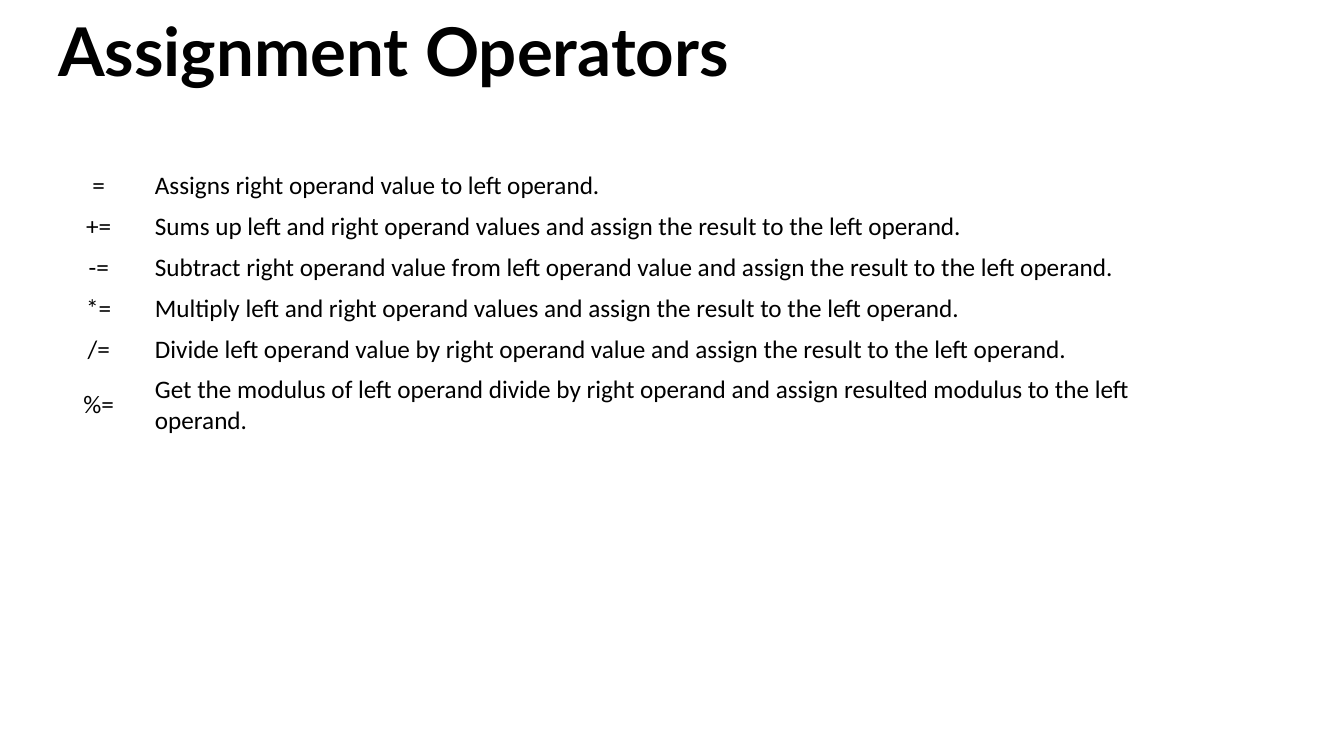
import pptx
import pptx.dml.color
import pptx.enum.text
import pptx.util
from pptx.util import Cm

BLACK = "000000"
OPERATORS = [
    ("= ", "Assigns right operand value to left operand."),
    ("+= ", "Sums up left and right operand values and assign the result to the left operand."),
    ("-= ", "Subtract right operand value from left operand value and assign the result to the left operand."),
    ("*= ", "Multiply left and right operand values and assign the result to the left operand."),
    ("/= ", "Divide left operand value by right operand value and assign the result to the left operand."),
    ("%= ", "Get the modulus of left operand divide by right operand and assign resulted modulus to the left operand."),
]


def set_color(target, color):
    target.rgb = pptx.dml.color.RGBColor.from_string(color)


def write(tf, text, font, size, bold=False, align=pptx.enum.text.PP_ALIGN.LEFT):
    p = tf.paragraphs[0]
    p.text = text
    p.alignment = align
    p.font.name = font
    p.font.size = pptx.util.Pt(size)
    p.font.bold = bold
    set_color(p.font.color, BLACK)
    return p


def add_title(s, text):
    sp = s.shapes.add_textbox(Cm(1.47), Cm(0.33), Cm(25.78), Cm(2.11))
    tf = sp.text_frame
    tf.word_wrap = True
    tf.margin_left = 0
    p = write(tf, text, "Lato", 48, bold=True)
    p.line_spacing = 0.9


def add_operator_table(s, operators):
    widths = [Cm(2.18), Cm(27.03)]
    aligns = [pptx.enum.text.PP_ALIGN.CENTER, pptx.enum.text.PP_ALIGN.LEFT]
    row_height = Cm(1.03)
    table = s.shapes.add_table(
        len(operators), len(widths), Cm(1.47), Cm(4.17),
        sum(widths), row_height * len(operators),
    ).table
    table.first_row = False
    table.horz_banding = False
    for column, width in zip(table.columns, widths):
        column.width = width
    for row, texts in zip(table.rows, operators):
        row.height = row_height
        for cell, text, align in zip(row.cells, texts, aligns):
            cell.fill.background()
            cell.vertical_anchor = pptx.enum.text.MSO_ANCHOR.MIDDLE
            write(cell.text_frame, text, "Calibri", 18, align=align)


def main():
    prs = pptx.Presentation()
    prs.slide_width = Cm(33.87)
    prs.slide_height = Cm(19.05)
    s = prs.slides.add_slide(prs.slide_layouts[6])
    add_title(s, "Assignment Operators")
    add_operator_table(s, OPERATORS)
    prs.save("out.pptx")


if __name__ == "__main__":
    main()
